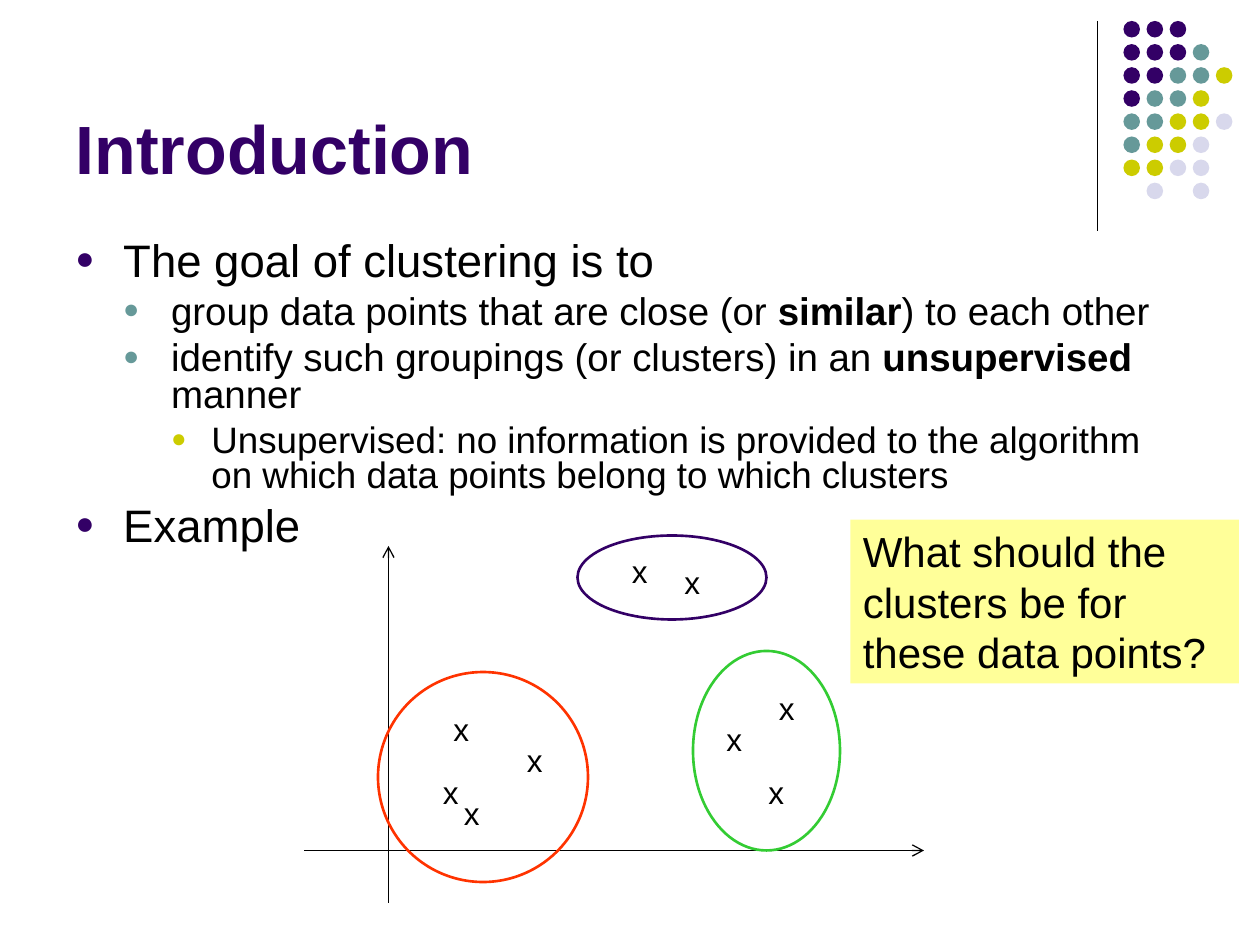
import lxml.etree
import pptx
import pptx.util
import pptx.dml.color
import pptx.enum.shapes
import pptx.enum.text
import pptx.oxml.ns

RGBColor = pptx.dml.color.RGBColor
Pt = pptx.util.Pt
Inches = pptx.util.Inches
qn = pptx.oxml.ns.qn
SHAPE = pptx.enum.shapes.MSO_SHAPE
ANCHOR = pptx.enum.text.MSO_ANCHOR
AUTO = pptx.enum.text.MSO_AUTO_SIZE

BLACK = RGBColor(0x00, 0x00, 0x00)
PURPLE = RGBColor(0x33, 0x00, 0x66)
TEAL = RGBColor(0x66, 0x99, 0x99)
OLIVE = RGBColor(0xCC, 0xCC, 0x00)
LILAC = RGBColor(0xD8, 0xD8, 0xEC)
RED = RGBColor(0xFF, 0x33, 0x00)
GREEN = RGBColor(0x33, 0xCC, 0x33)
YELLOW = RGBColor(0xFF, 0xFF, 0x99)

COLS, ROWS = 120, 90

DOT_COLORS = {"P": PURPLE, "T": TEAL, "O": OLIVE, "L": LILAC}
DOT_ROWS = ["PPP", "PPPT", "PPTTO", "PTTO", "TTOOL", "TOOL", "OOLL", ".L.L"]

LEVELS = [
    {"color": PURPLE, "size": 26, "before": 6.5, "left": 0.38, "hang": 0.38},
    {"color": TEAL, "size": 22, "before": 5.5, "left": 0.76, "hang": 0.38},
    {"color": OLIVE, "size": 21, "before": 5.2, "left": 1.08, "hang": 0.32},
]
BULLETS = [
    (0, ["The goal of clustering is to"]),
    (1, ["group data points that are close (or ", "similar", ") to each other"]),
    (1, ["identify such groupings (or clusters) in an ", "unsupervised", " manner"]),
    (2, ["Unsupervised: no information is provided to the algorithm "
         "on which data points belong to which clusters"]),
    (0, ["Example"]),
]

POINTS = [(41, 73), (43, 75), (42, 67), (49, 70), (64, 53),
          (59, 52), (68, 68), (73, 65), (72, 73)]
CLUSTERS = [(36, 64, 20, 20, RED), (55, 51, 18, 8, PURPLE), (66, 62, 14, 19, GREEN)]


class Deck:
    font = "Arial"

    def __init__(self):
        self.prs = pptx.Presentation()
        self.prs.slide_width, self.prs.slide_height = Inches(10), Inches(7.5)
        self.s = self.prs.slides.add_slide(self.prs.slide_layouts[5])

    def box(self, col, row, cols, rows):
        x, y = self.prs.slide_width / COLS, self.prs.slide_height / ROWS
        return [round(v) for v in (col * x, row * y, cols * x, rows * y)]

    def style(self, r, size, color=BLACK, bold=False):
        r.font.name, r.font.size, r.font.bold = self.font, Pt(size), bold
        r.font.color.rgb = color

    def title(self, text, *cell):
        sp = self.s.shapes.title
        sp.left, sp.top, sp.width, sp.height = self.box(*cell)
        tf = sp.text_frame
        tf.text = text
        tf.auto_size = AUTO.NONE
        tf.vertical_anchor = ANCHOR.BOTTOM
        p = tf.paragraphs[0]
        p.alignment = pptx.enum.text.PP_ALIGN.LEFT
        self.style(p.runs[0], 39, PURPLE, True)

    def text(self, text, size, *cell, wrap=True):
        sp = self.s.shapes.add_textbox(*self.box(*cell))
        tf = sp.text_frame
        tf.word_wrap = wrap
        tf.auto_size = AUTO.SHAPE_TO_FIT_TEXT
        tf.text = text
        self.style(tf.paragraphs[0].runs[0], size)
        return sp

    def bullets(self, items, *cell):
        tf = self.s.shapes.add_textbox(*self.box(*cell)).text_frame
        tf.word_wrap = True
        for i, (level, parts) in enumerate(items):
            p = tf.add_paragraph() if i else tf.paragraphs[0]
            look = LEVELS[level]
            p.level = level
            p.line_spacing, p.space_before = 0.8, Pt(look["before"])
            for j, part in enumerate(parts):
                r = p.add_run()
                r.text = part
                self.style(r, look["size"], bold=j == 1)
            self.bullet(p, look)

    def bullet(self, p, look):
        pPr = p._p.get_or_add_pPr()
        pPr.set("marL", str(Inches(look["left"])))
        pPr.set("indent", str(-Inches(look["hang"])))
        clr = self.add_xml(pPr, "a:buClr")
        self.add_xml(clr, "a:srgbClr", val=str(look["color"]))
        self.add_xml(pPr, "a:buSzPct", val="70000")
        self.add_xml(pPr, "a:buFont", typeface=self.font)
        self.add_xml(pPr, "a:buChar", char="●")

    def add_xml(self, parent, tag, **attrs):
        return lxml.etree.SubElement(parent, qn(tag), attrs)

    def ellipse(self, *cell, fill=None, line=None):
        sp = self.s.shapes.add_shape(SHAPE.OVAL, *self.box(*cell))
        sp.shadow.inherit = False
        if fill is None:
            sp.fill.background()
        else:
            sp.fill.solid()
            sp.fill.fore_color.rgb = fill
        if line is None:
            sp.line.fill.background()
        else:
            sp.line.color.rgb, sp.line.width = line, Pt(1.5)

    def line(self, *ends, arrow=None):
        c = self.s.shapes.add_connector(
            pptx.enum.shapes.MSO_CONNECTOR.STRAIGHT, *self.box(*ends))
        c.line.color.rgb, c.line.width = BLACK, Pt(0.75)
        spPr = c._element.spPr
        if arrow:
            self.add_xml(spPr.find(qn("a:ln")), arrow, type="arrow")
        self.add_xml(spPr, "a:effectLst")

    def note(self, text, *cell):
        sp = self.text(text, 24, *cell)
        sp.fill.solid()
        sp.fill.fore_color.rgb = YELLOW

    def dots(self, col, row, pitch, size):
        for i, marks in enumerate(DOT_ROWS):
            for j, mark in enumerate(marks):
                if mark in DOT_COLORS:
                    self.ellipse(col + j * pitch, row + i * pitch, size, size,
                                 fill=DOT_COLORS[mark])


def main():
    d = Deck()
    d.line(104.5, 2, 104.5, 22)
    d.dots(107, 2, 2.2, 1.58)
    d.title("Introduction", 6, 1.5, 99, 17)
    d.bullets(BULLETS, 6, 22.5, 108, 33.5)
    d.line(29, 81, 88, 81, arrow="a:tailEnd")
    d.line(37, 52, 37, 86, arrow="a:headEnd")
    for col, row in POINTS:
        d.text("x", 18, col, row, 3.9, 4.8, wrap=False)
    for *cell, color in CLUSTERS:
        d.ellipse(*cell, line=color)
    d.note("What should the clusters be for these data points?", 81, 49.5, 37, 15.6)
    d.prs.save("out.pptx")


if __name__ == "__main__":
    main()
